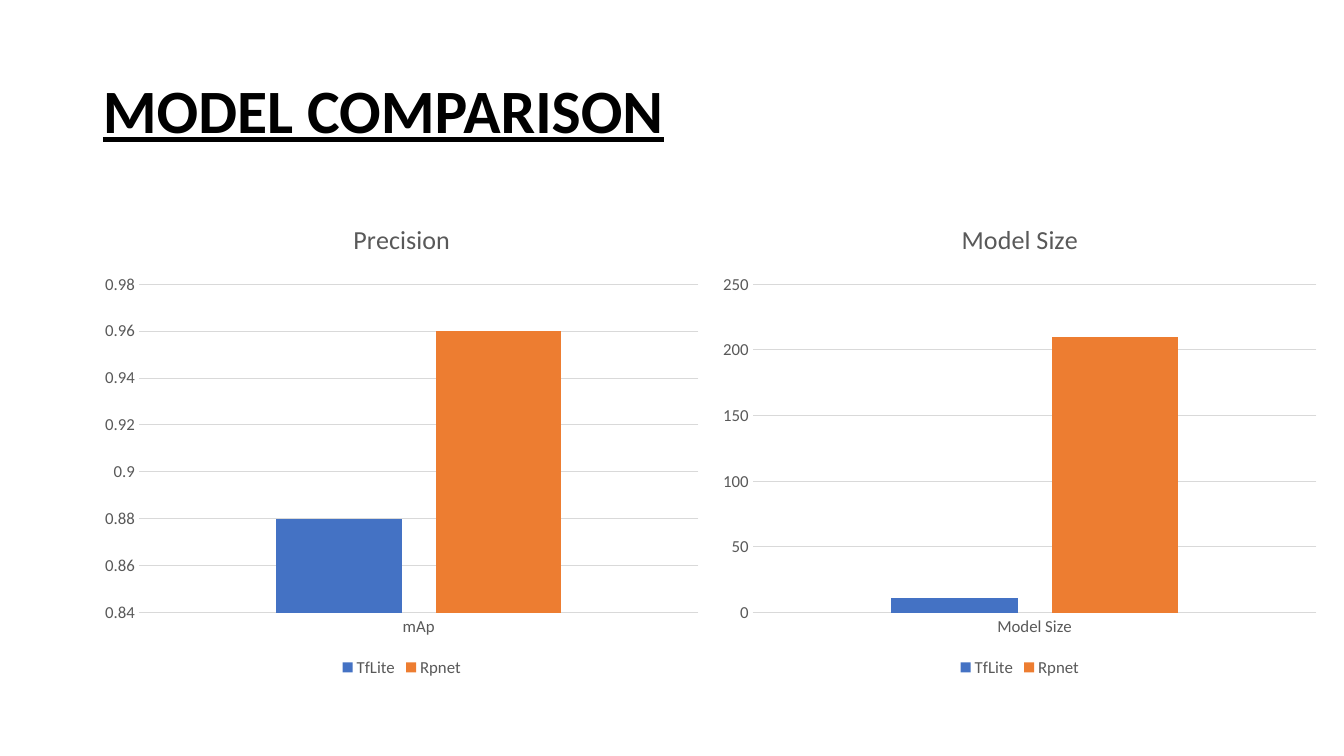
import pptx
import pptx.chart.data
import pptx.dml.color
import pptx.enum.chart
import pptx.enum.text
import pptx.util

Inches, Pt = pptx.util.Inches, pptx.util.Pt
RGB = pptx.dml.color.RGBColor
enums = pptx.enum.chart

FONT = "Calibri"
BLACK = RGB(0x00, 0x00, 0x00)
GREY = RGB(0x59, 0x59, 0x59)
RULE = RGB(0xD9, 0xD9, 0xD9)
BLUE = RGB(0x44, 0x72, 0xC4)
ORANGE = RGB(0xED, 0x7D, 0x31)

MODELS = (("TfLite", BLUE), ("Rpnet", ORANGE))
LEFT, TOP, WIDE, HIGH = 0.92, 2, 6.13, 4.76


def style(font, size, color):
    font.name = FONT
    font.size = Pt(size)
    font.bold = False
    font.color.rgb = color


def rule(line):
    line.color.rgb = RULE
    line.width = Pt(0.75)


def add_title(slide, text):
    title = slide.shapes.title
    title.left, title.top = Inches(LEFT), Inches(0.4)
    title.width, title.height = Inches(11.5), Inches(1.45)
    frame = title.text_frame
    frame.word_wrap = True
    frame.vertical_anchor = pptx.enum.text.MSO_ANCHOR.MIDDLE
    para = frame.paragraphs[0]
    para.alignment = pptx.enum.text.PP_ALIGN.LEFT
    para.line_spacing = 0.9
    run = para.add_run()
    run.text = text
    style(run.font, 44, BLACK)
    run.font.bold = run.font.underline = True


def add_bars(slide, left, head, label, values, low, high, step):
    data = pptx.chart.data.CategoryChartData()
    data.categories = [label]
    for (name, _), value in zip(MODELS, values):
        data.add_series(name, [value])
    chart = slide.shapes.add_chart(
        enums.XL_CHART_TYPE.COLUMN_CLUSTERED, Inches(left), Inches(TOP),
        Inches(WIDE), Inches(HIGH), data).chart
    style(chart.font, 10, BLACK)

    # Heading and legend
    chart.has_title = True
    run = chart.chart_title.text_frame.paragraphs[0].add_run()
    run.text = head
    style(run.font, 18.6, GREY)
    chart.chart_title.include_in_layout = False
    chart.has_legend = True
    chart.legend.position = enums.XL_LEGEND_POSITION.BOTTOM
    chart.legend.include_in_layout = False
    style(chart.legend.font, 12, GREY)

    # Axes
    for axis in (chart.category_axis, chart.value_axis):
        axis.major_tick_mark = enums.XL_TICK_MARK.NONE
        axis.minor_tick_mark = enums.XL_TICK_MARK.NONE
        style(axis.tick_labels.font, 12, GREY)
    rule(chart.category_axis.format.line)
    scale = chart.value_axis
    scale.format.line.fill.background()
    scale.has_major_gridlines = True
    rule(scale.major_gridlines.format.line)
    scale.minimum_scale, scale.maximum_scale = low, high
    scale.major_unit = step

    # Columns
    plot = chart.plots[0]
    plot.gap_width, plot.overlap = 219, -27
    plot.vary_by_categories = False
    for bar, (_, color) in zip(plot.series, MODELS):
        bar.format.fill.solid()
        bar.format.fill.fore_color.rgb = color


def main():
    deck = pptx.Presentation()
    deck.slide_width, deck.slide_height = Inches(13.33), Inches(7.5)
    slide = deck.slides.add_slide(deck.slide_layouts[5])
    add_title(slide, "MODEL COMPARISON")
    add_bars(slide, LEFT, "Precision", "mAp", (0.88, 0.96),
             0.84, 0.98, 0.02)
    add_bars(slide, LEFT + WIDE, "Model Size", "Model Size", (11, 210),
             0, 250, 50)
    deck.save("out.pptx")


if __name__ == "__main__":
    main()
